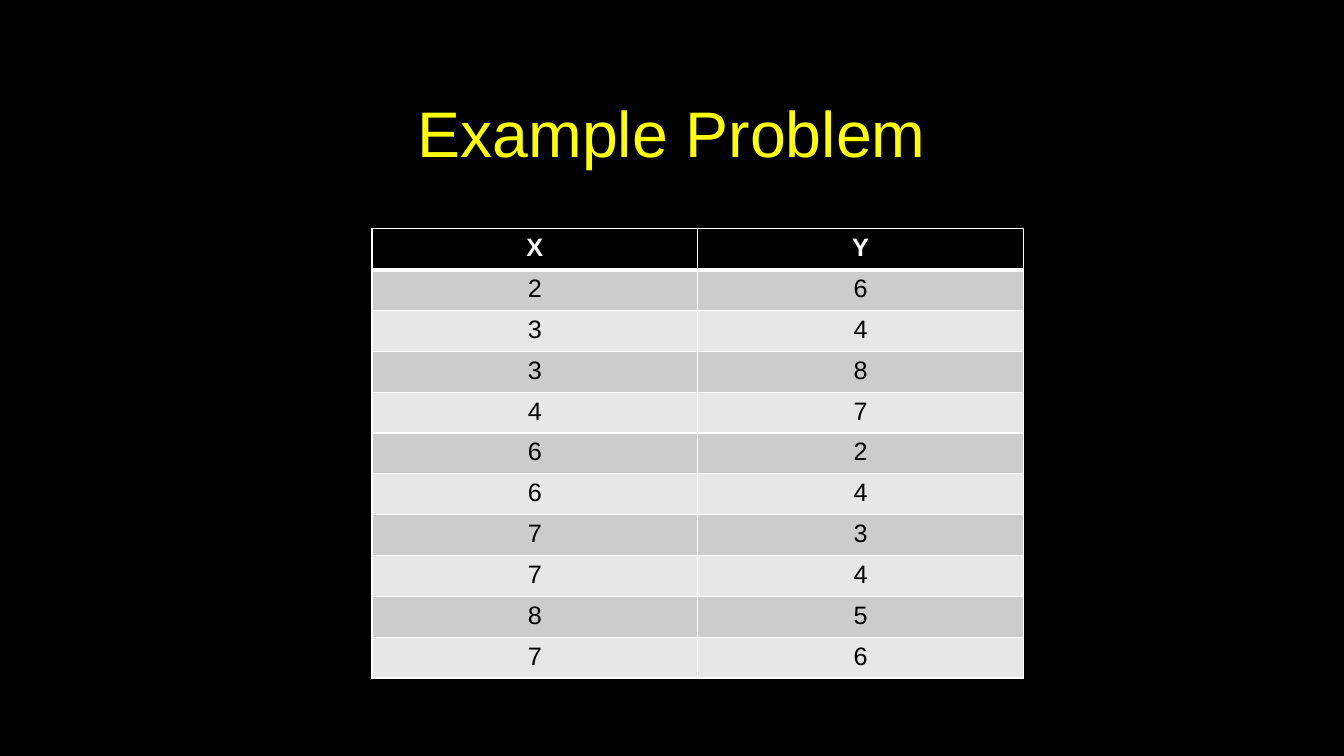
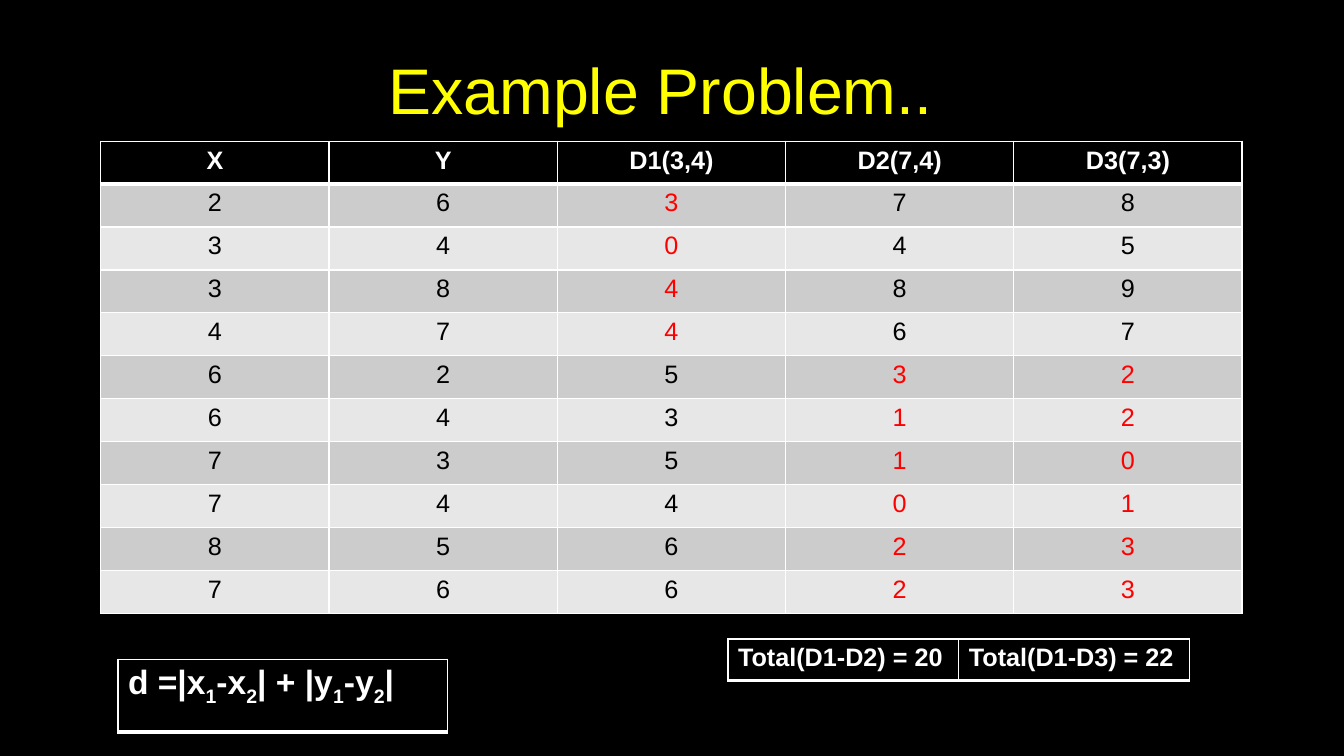
from lxml.etree import SubElement
from pptx import Presentation
from pptx.dml.color import RGBColor
from pptx.enum.text import MSO_ANCHOR as Anchor, PP_ALIGN as Align
from pptx.oxml import parse_xml
from pptx.oxml.ns import nsdecls, qn
from pptx.util import Inches, Pt

BLACK = RGBColor(0x00, 0x00, 0x00)
WHITE = RGBColor(0xFF, 0xFF, 0xFF)
YELLOW = RGBColor(0xFF, 0xFF, 0x00)
RED = RGBColor(0xFF, 0x00, 0x00)
OUTLINE = RGBColor(0x40, 0x40, 0x40)
BANDS = (RGBColor(0xE7, 0xE7, 0xE7), RGBColor(0xCC, 0xCC, 0xCC))

TITLE = {"name": "Arial", "size": Pt(46)}
HEADER = {"name": "Arial", "size": Pt(18), "bold": True}
BODY = {**HEADER, "bold": False}
FORMULA = {**HEADER, "size": Pt(24)}

POINTS = [(2, 6), (3, 4), (3, 8), (4, 7), (6, 2),
          (6, 4), (7, 3), (7, 4), (8, 5), (7, 6)]
MEDOIDS = [(3, 4), (7, 4), (7, 3)]


class SlideBuilder:
    """Holds the shared style and the current slide."""

    def __init__(self):
        self.deck = Presentation()
        self.deck.slide_width = Inches(13.33)
        self.deck.slide_height = Inches(7.5)
        self.slide = None

    def new_slide(self):
        self.slide = self.deck.slides.add_slide(self.deck.slide_layouts[6])
        fill = self.slide.background.fill
        fill.solid()
        fill.fore_color.rgb = BLACK

    def span(self, para, text, style, color):
        span = para.add_run()
        span.text = text
        for name, value in style.items():
            setattr(span.font, name, value)
        span.font.color.rgb = color
        return span

    def title(self, text, left, top):
        box = self.slide.shapes.add_textbox(
            Inches(left), Inches(top), Inches(11.32), Inches(1.38))
        frame = box.text_frame
        frame.word_wrap = True
        frame.vertical_anchor = Anchor.MIDDLE
        para = frame.paragraphs[0]
        para.alignment = Align.CENTER
        para.line_spacing = 0.9
        span = self.span(para, text, TITLE, YELLOW)
        span.font._element.insert(0, parse_xml(
            f'<a:ln {nsdecls("a")} w="{Pt(0.75)}"><a:solidFill>'
            f'<a:srgbClr val="{OUTLINE}"><a:alpha val="10000"/></a:srgbClr>'
            '</a:solidFill></a:ln>'))

    def table(self, rows, columns, left, top, width, height):
        frame = self.slide.shapes.add_table(
            rows, columns, Inches(left), Inches(top), Inches(width), Inches(height))
        for column in frame.table.columns:
            column.width = Inches(width / columns)
        for row in frame.table.rows:
            row.height = Inches(height / rows)
        return frame.table

    def cell(self, cell, spans, style, color, fill, align, top=1, bottom=1):
        cell.fill.solid()
        cell.fill.fore_color.rgb = fill
        widths = {"a:lnL": 1, "a:lnR": 1, "a:lnT": top, "a:lnB": bottom}
        properties = cell._tc.get_or_add_tcPr()
        for index, (side, width) in enumerate(widths.items()):
            line = properties.makeelement(qn(side), {"w": str(Pt(width))})
            paint = SubElement(line, qn("a:solidFill"))
            SubElement(paint, qn("a:srgbClr"), val=str(WHITE))
            properties.insert(index, line)
        para = cell.text_frame.paragraphs[0]
        para.alignment = align
        for text, baseline in spans:
            span = self.span(para, text, style, color)
            if baseline:
                span.font._element.set("baseline", str(baseline))

    def header_cell(self, cell, spans, style=HEADER, align=Align.LEFT):
        self.cell(cell, spans, style, WHITE, BLACK, align, bottom=3)

    def data_table(self, headings, records, place, is_marked):
        table = self.table(len(records) + 1, len(headings), *place)
        for column, heading in enumerate(headings):
            self.header_cell(table.cell(0, column), [(heading, 0)], align=Align.CENTER)
        for row, record in enumerate(records, 1):
            for column, value in enumerate(record):
                color = RED if is_marked(record, column) else BLACK
                self.cell(table.cell(row, column), [(str(value), 0)], BODY, color,
                          BANDS[row % 2], Align.CENTER, top=3 if row == 1 else 1)

    def callout_table(self, entries, place, style=HEADER):
        table = self.table(1, len(entries), *place)
        for column, spans in enumerate(entries):
            self.header_cell(table.cell(0, column), spans, style)


def in_nearest_cluster(record, column):
    first, second = record[2:4]
    return column == 2 if first < second else column > 2


def main():
    builder = SlideBuilder()

    builder.new_slide()
    builder.title("Example Problem", 1, 0.67)
    builder.data_table(["X", "Y"], POINTS, (3.69, 2.27, 6.46, 4.46),
                       lambda record, column: False)

    builder.new_slide()
    builder.title("Example Problem..", 0.89, 0.24)
    headings = ["X", "Y"] + [
        f"D{number}({x},{y})" for number, (x, y) in enumerate(MEDOIDS, 1)]
    distances = [
        (x, y, *(abs(x - mx) + abs(y - my) for mx, my in MEDOIDS))
        for x, y in POINTS]
    builder.data_table(headings, distances, (1, 1.4, 11.32, 4.69), in_nearest_cluster)
    builder.callout_table(
        [[("Total(D1-D2) = 20", 0)], [("Total(D1-D3) = 22", 0)]],
        (7.22, 6.34, 4.58, 0.41))
    pieces = ["d =|x", "1", "-x", "2", "| + |y", "1", "-y", "2", "|"]
    formula = [(text, -25000 * (index % 2)) for index, text in enumerate(pieces)]
    builder.callout_table([formula], (1.17, 6.54, 3.27, 0.72), FORMULA)

    builder.deck.save("out.pptx")


if __name__ == "__main__":
    main()
